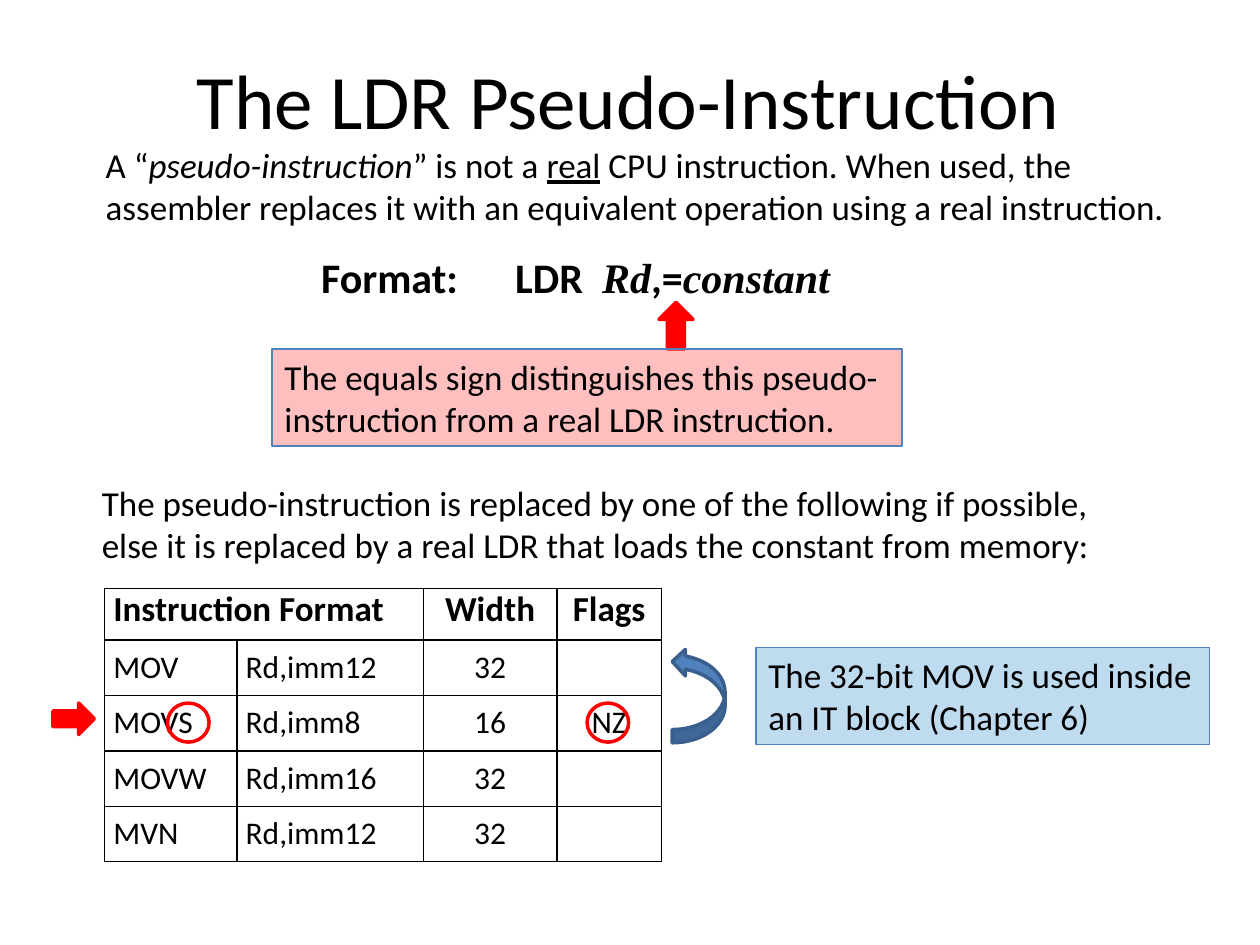
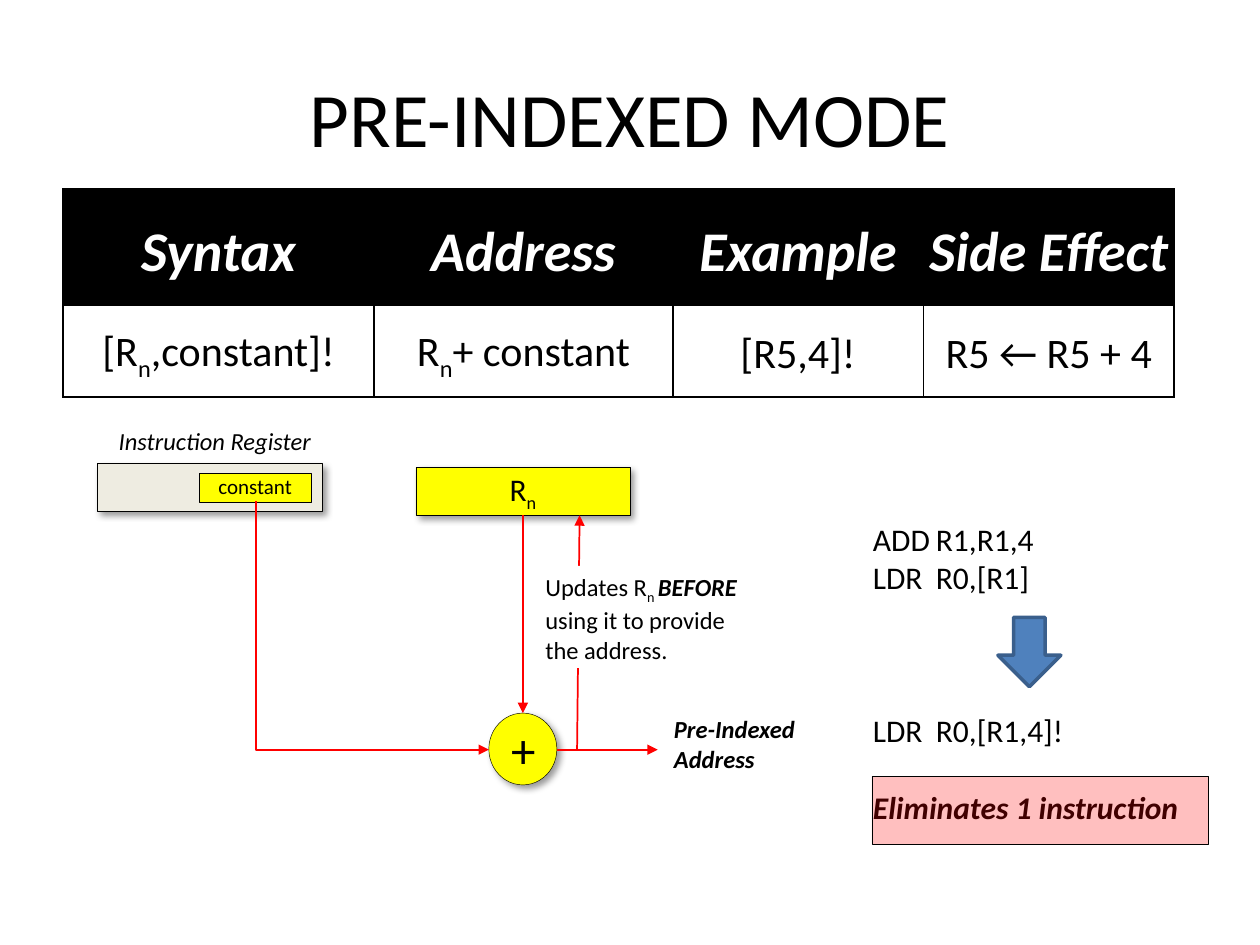
from dataclasses import dataclass
from typing import Optional

from lxml.etree import SubElement
from pptx import Presentation
from pptx.dml.color import RGBColor
from pptx.enum.shapes import MSO_CONNECTOR as Connector, MSO_SHAPE as Preset
from pptx.enum.text import MSO_ANCHOR as Anchor, PP_ALIGN as Align
from pptx.oxml.ns import qn
from pptx.util import Inches, Pt

BLACK = RGBColor(0x00, 0x00, 0x00)
WHITE = RGBColor(0xFF, 0xFF, 0xFF)
RED = RGBColor(0xFF, 0x00, 0x00)
YELLOW = RGBColor(0xFF, 0xFF, 0x00)
CREAM = RGBColor(0xEE, 0xEC, 0xE1)
BLUE = RGBColor(0x4F, 0x81, 0xBD)
DARK_BLUE = RGBColor(0x3A, 0x5F, 0x8C)
NOTE_BLUE = RGBColor(0x00, 0x70, 0xC0)

BODY_FONT = "Calibri"
OPERAND_FONT = "Times New Roman"
DEFAULT_INSETS = (0.1, 0.05, 0.1, 0.05)


@dataclass(frozen=True)
class Run:
    text: str
    bold: Optional[bool] = None
    italic: Optional[bool] = None
    underline: Optional[bool] = None
    font: Optional[str] = None
    subscript: bool = False


@dataclass(frozen=True)
class TextStyle:
    size: int
    align: Align = Align.LEFT
    color: RGBColor = BLACK
    bold: bool = False
    italic: bool = False
    anchor: Anchor = Anchor.TOP
    insets: tuple = DEFAULT_INSETS
    line_spacing: Optional[float] = None


@dataclass(frozen=True)
class Line:
    """One paragraph: its runs, the space above it and its tab stops in inches."""
    runs: tuple
    space_before: int = 0
    tabs: tuple = ()


@dataclass(frozen=True)
class Look:
    fill: Optional[RGBColor] = None
    line: Optional[RGBColor] = None
    width: float = 0.25
    opacity: int = 100
    shadow: bool = False


TITLE = TextStyle(44, Align.CENTER, anchor=Anchor.MIDDLE)
PROSE = TextStyle(20)
CODE = TextStyle(18)
CAPTION = TextStyle(14)
LABEL = TextStyle(18, Align.CENTER, anchor=Anchor.MIDDLE)

RED_ARROW = Look(RED, RED, 2)
RED_RING = Look(line=RED, width=2)
BLUE_ARROW = Look(BLUE, DARK_BLUE, 2)
RED_NOTE = Look(RED, BLUE, 0.75, opacity=25)
BLUE_NOTE = Look(NOTE_BLUE, BLUE, 0.75, opacity=25)
HIGHLIGHT = Look(RED, BLACK, opacity=25)
REGISTER = Look(YELLOW, BLACK, shadow=True)

SUB_N = Run("n", subscript=True)


# Shared drawing functions
def write_line(paragraph, line: Line, style: TextStyle) -> None:
    paragraph.alignment = style.align
    if style.line_spacing:
        paragraph.line_spacing = style.line_spacing
    if line.space_before:
        paragraph.space_before = Pt(line.space_before)
    if line.tabs:
        stops = SubElement(paragraph._p.get_or_add_pPr(), qn("a:tabLst"))
        for stop in line.tabs:
            SubElement(stops, qn("a:tab"), pos=str(Inches(stop)), algn="l")
    font = paragraph.font
    font.name, font.size = BODY_FONT, Pt(style.size)
    font.bold, font.italic = style.bold, style.italic
    font.color.rgb = style.color
    for part in line.runs:
        run = paragraph.add_run()
        run.text = part.text
        for trait in ("bold", "italic", "underline"):
            if getattr(part, trait) is not None:
                setattr(run.font, trait, getattr(part, trait))
        if part.font:
            run.font.name = part.font
        if part.subscript:
            run._r.get_or_add_rPr().set("baseline", "-25000")


def as_line(content) -> Line:
    if isinstance(content, Line):
        return content
    return Line((Run(content),) if isinstance(content, str) else tuple(content))


def write_text(frame, style: TextStyle, *contents) -> None:
    frame.word_wrap = True
    frame.vertical_anchor = style.anchor
    (frame.margin_left, frame.margin_top,
     frame.margin_right, frame.margin_bottom) = map(Inches, style.insets)
    for index, content in enumerate(contents):
        paragraph = frame.add_paragraph() if index else frame.paragraphs[0]
        write_line(paragraph, as_line(content), style)


def add_text(slide, at: tuple, style: TextStyle, *contents) -> None:
    box = slide.shapes.add_textbox(*map(Inches, at))
    write_text(box.text_frame, style, *contents)


def add_figure(slide, preset: Preset, at: tuple, look: Look,
               style: Optional[TextStyle] = None, *contents, rotation: int = 0) -> None:
    shape = slide.shapes.add_shape(preset, *map(Inches, at))
    shape.rotation = rotation
    shape.shadow.inherit = False
    properties = shape._element.spPr
    if look.fill is None:
        shape.fill.background()
    else:
        shape.fill.solid()
        shape.fill.fore_color.rgb = look.fill
        if look.opacity < 100:
            color = properties.find(qn("a:solidFill")).find(qn("a:srgbClr"))
            SubElement(color, qn("a:alpha"), val=str(look.opacity * 1000))
    if look.line is None:
        shape.line.fill.background()
    else:
        shape.line.color.rgb = look.line
        shape.line.width = Pt(look.width)
    if look.shadow:
        shadow = SubElement(properties.find(qn("a:effectLst")), qn("a:outerShdw"),
                            blurRad=str(Pt(4)), dist=str(Pt(3)), dir=str(45 * 60000),
                            algn="tl", rotWithShape="0")
        color = SubElement(shadow, qn("a:srgbClr"), val=str(BLACK))
        SubElement(color, qn("a:alpha"), val="40000")
    if style:
        write_text(shape.text_frame, style, *contents)


def add_arrow(slide, start: tuple, end: tuple, kind: Connector = Connector.STRAIGHT):
    arrow = slide.shapes.add_connector(kind, *map(Inches, start + end))
    arrow.line.color.rgb = RED
    arrow.line.width = Pt(1)
    SubElement(arrow.line._get_or_add_ln(), qn("a:tailEnd"), type="triangle")
    SubElement(arrow._element.spPr, qn("a:effectLst"))
    return arrow


def add_elbow_arrow(slide, start: tuple, end: tuple) -> None:
    """Runs down from start, then right to end: a one-bend connector turned by 270 degrees."""
    middle_x, middle_y = (start[0] + end[0]) / 2, (start[1] + end[1]) / 2
    half_w, half_h = (end[1] - start[1]) / 2, (end[0] - start[0]) / 2
    arrow = add_arrow(slide, (middle_x + half_w, middle_y - half_h),
                      (middle_x - half_w, middle_y + half_h), Connector.ELBOW)
    properties = arrow._element.spPr
    properties.find(qn("a:xfrm")).set("rot", str(270 * 60000))
    properties.find(qn("a:prstGeom")).set("prst", "bentConnector2")


def add_grid(slide, at: tuple, columns: tuple, rows: tuple):
    table = slide.shapes.add_table(len(rows), len(columns), *map(Inches, at)).table
    table.first_row = table.horz_banding = False
    for column, width in zip(table.columns, columns):
        column.width = Inches(width)
    for row, height in zip(table.rows, rows):
        row.height = Inches(height)
    return table


def write_cell(cell, style: TextStyle, content, fill: Optional[RGBColor] = None) -> None:
    properties = cell._tc.get_or_add_tcPr()
    for side in ("L", "R", "T", "B"):
        border = SubElement(properties, qn(f"a:ln{side}"), w=str(Pt(1)))
        color = SubElement(border, qn("a:solidFill"))
        SubElement(color, qn("a:srgbClr"), val=str(BLACK))
    if fill is None:
        cell.fill.background()
    else:
        cell.fill.solid()
        cell.fill.fore_color.rgb = fill
    write_text(cell.text_frame, style, *([content] if content else []))
    # Cells keep their own anchor and margins
    cell.vertical_anchor = style.anchor
    (cell.margin_left, cell.margin_top,
     cell.margin_right, cell.margin_bottom) = map(Inches, style.insets)


def build_ldr_slide(slide) -> None:
    add_text(slide, (0.49, 0.16, 9, 1.25), TITLE, "The LDR Pseudo-Instruction")

    # Format line
    operand = dict(font=OPERAND_FONT, italic=True)
    add_text(slide, (2.45, 1.95, 5.08, 0.58), TextStyle(24, bold=True),
             Line((Run("Format:\tLDR\t"), Run("Rd", **operand), Run(",="),
                   Run("constant", **operand)), tabs=(1.54, 2.23)))

    # Replacement instructions
    formats = add_grid(slide, (0.83, 4.67, 4.42, 2.18), (1.05, 1.48, 1.06, 0.83),
                       (0.41,) + (0.44,) * 4)
    contents = (
        ("Instruction Format", "", "Width", "Flags"),
        ("MOV", "Rd,imm12", "32", ""),
        ("MOVS", "Rd,imm8", "16", "NZ"),
        ("MOVW", "Rd,imm16", "32", ""),
        ("MVN", "Rd,imm12", "32", ""),
    )
    for r, row in enumerate(contents):
        for c, content in enumerate(row):
            style = TextStyle(18 if r else 20, Align.CENTER if c > 1 else Align.LEFT,
                              bold=r == 0, anchor=Anchor.MIDDLE if r else Anchor.TOP,
                              insets=(0.07, 0, 0.07, 0))
            write_cell(formats.cell(r, c), style, content)
    formats.cell(0, 0).merge(formats.cell(0, 1))

    # Note on the equals sign
    add_figure(slide, Preset.UP_ARROW, (5.23, 2.4, 0.27, 0.37), RED_ARROW)
    add_figure(slide, Preset.RECTANGLE, (2.16, 2.77, 5, 0.77), RED_NOTE, PROSE,
               "The equals sign distinguishes this pseudo-instruction from a real LDR instruction.")
    add_text(slide, (0.71, 3.77, 8.45, 0.77), PROSE,
             "The pseudo-instruction is replaced by one of the following if possible, "
             "else it is replaced by a real LDR that loads the constant from memory:")

    # Marks on the MOVS row
    add_figure(slide, Preset.RIGHT_ARROW, (0.42, 5.58, 0.33, 0.25), RED_ARROW)
    for left in (1.33, 4.66):
        add_figure(slide, Preset.OVAL, (left, 5.58, 0.33, 0.31), RED_RING)
    add_figure(slide, Preset.CURVED_UP_ARROW, (5.17, 5.31, 0.75, 0.42), BLUE_ARROW,
               rotation=270)
    add_figure(slide, Preset.RECTANGLE, (6, 5.14, 3.6, 0.77), BLUE_NOTE, PROSE,
               "The 32-bit MOV is used inside an IT block (Chapter 6)")

    # Definition
    add_text(slide, (0.74, 1.09, 9.07, 0.77), PROSE,
             (Run("A “"), Run("pseudo-instruction", italic=True), Run("” is not a "),
              Run("real", underline=True),
              Run(" CPU instruction. When used, the assembler replaces it with an "
                  "equivalent operation using a real instruction.")))


def build_pre_indexed_slide(slide) -> None:
    add_text(slide, (0.5, 0.3, 9, 1.25), TITLE, "PRE-INDEXED MODE")

    # Address calculation
    add_figure(slide, Preset.RECTANGLE, (3.3, 3.71, 1.7, 0.38), REGISTER, LABEL,
               (Run("R"), SUB_N))
    add_figure(slide, Preset.OVAL, (3.88, 5.66, 0.54, 0.57), REGISTER,
               TextStyle(28, Align.CENTER, anchor=Anchor.MIDDLE), "+")
    add_arrow(slide, (4.15, 4.09), (4.15, 5.66))
    add_figure(slide, Preset.RECTANGLE, (0.77, 3.68, 1.79, 0.38),
               Look(CREAM, BLACK, shadow=True))
    add_figure(slide, Preset.RECTANGLE, (1.58, 3.76, 0.89, 0.23), Look(YELLOW, BLACK),
               TextStyle(12, Align.CENTER, insets=(0.1, 0, 0.1, 0)), "constant")
    add_text(slide, (0.69, 3.33, 2.03, 0.38), TextStyle(14, Align.CENTER, italic=True),
             "Instruction Register")
    add_arrow(slide, (4.42, 5.95), (5.22, 5.95))
    add_text(slide, (5.25, 5.62, 1.22, 0.57), TextStyle(14, bold=True, italic=True),
             "Pre-Indexed Address")
    add_arrow(slide, (4.58, 5.95), (4.6, 4.09))
    add_figure(slide, Preset.RECTANGLE, (4.23, 4.49, 1.89, 0.81), Look(WHITE), CAPTION,
               (Run("Updates R"), Run("n ", subscript=True),
                Run("BEFORE", bold=True, italic=True),
                Run(" using it to provide the address.")))
    add_elbow_arrow(slide, (2.03, 3.98), (3.88, 5.95))

    # Mode summary
    summary = add_grid(slide, (0.5, 1.5, 8.83, 1.65), (2.47, 2.37, 1.99, 1.99), (0.92, 0.73))
    headings = ("Syntax", "Address", "Example", "Side Effect")
    forms = (
        (Run("[R"), SUB_N, Run(",constant]!")),
        (Run("R"), SUB_N, Run("+ constant")),
        "[R5,4]!",
        "R5 ← R5 + 4",
    )
    for c, (heading, form) in enumerate(zip(headings, forms)):
        side = 0.05 if c < 2 else 0
        write_cell(summary.cell(0, c),
                   TextStyle(32, Align.CENTER, WHITE, True, True, Anchor.MIDDLE,
                             (side, 0.05, side, 0.05), 1.15), heading, BLACK)
        write_cell(summary.cell(1, c),
                   TextStyle(24, Align.CENTER, anchor=Anchor.MIDDLE,
                             insets=(0.05, 0.04, 0.05, 0.04), line_spacing=1.15), form)

    # Code before and after
    add_text(slide, (6.83, 4.08, 2.67, 2.52), CODE,
             "ADD\tR1,R1,4",
             "LDR\tR0,[R1]",
             Line((Run("LDR\tR0,[R1,4]!"),), space_before=66),
             Line((Run("Eliminates 1 instruction", bold=True, italic=True),), space_before=22))
    add_figure(slide, Preset.DOWN_ARROW, (7.92, 4.9, 0.5, 0.55), BLUE_ARROW)
    add_figure(slide, Preset.RECTANGLE, (6.92, 6.16, 2.67, 0.54), HIGHLIGHT)


def main() -> None:
    deck = Presentation()
    deck.slide_width, deck.slide_height = Inches(10), Inches(7.5)
    blank = deck.slide_layouts[6]
    for build in (build_ldr_slide, build_pre_indexed_slide):
        build(deck.slides.add_slide(blank))
    deck.save("out.pptx")


if __name__ == "__main__":
    main()
